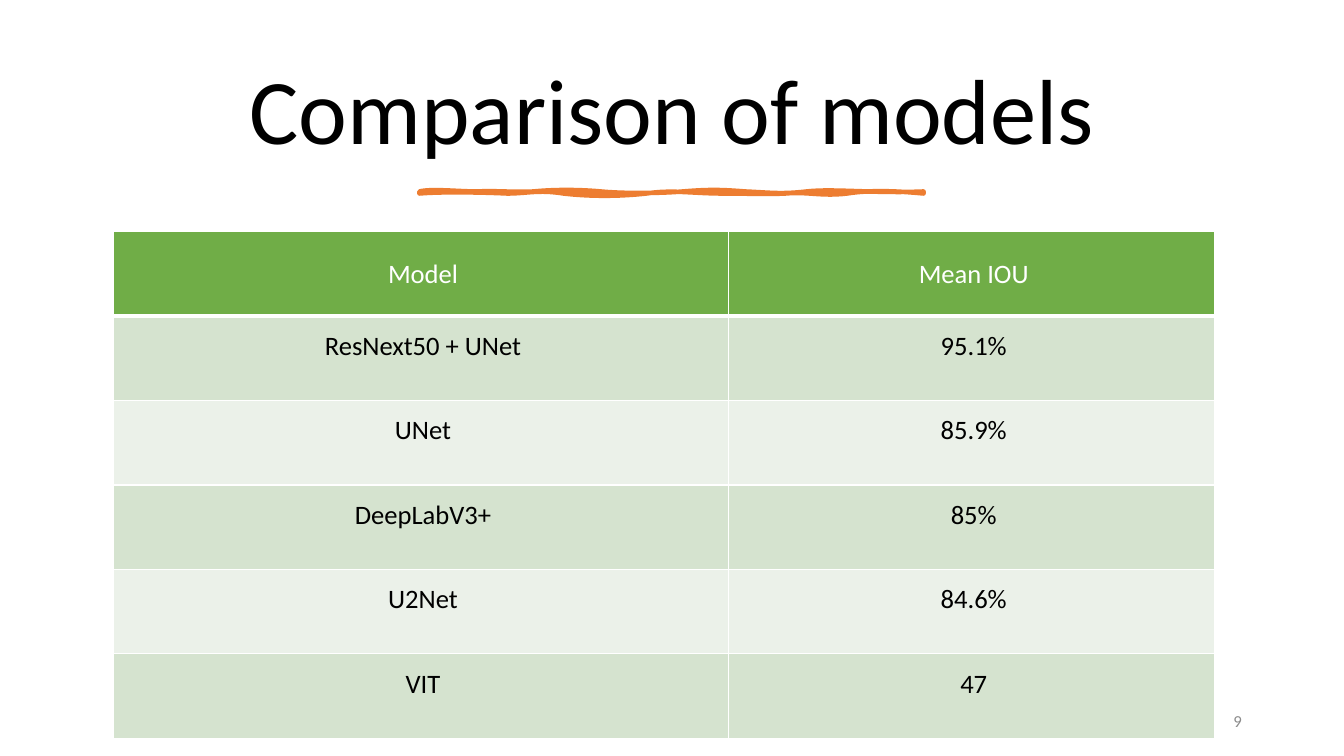
from dataclasses import dataclass

from lxml.etree import SubElement
from pptx import Presentation
from pptx.dml.color import RGBColor
from pptx.enum.text import MSO_ANCHOR as Anchor, MSO_AUTO_SIZE as AutoSize, PP_ALIGN as Align
from pptx.oxml import parse_xml
from pptx.oxml.ns import nsdecls, qn
from pptx.util import Inches, Pt

SLIDE_WIDTH, SLIDE_HEIGHT = Inches(13.33), Inches(7.5)
FONT = "Calibri"
COLORS = {
    "text": "000000", "white": "FFFFFF", "number": "8C8C8C", "stroke": "ED7D31",
    "header": "70AD47", "odd": "D5E3CF", "even": "EBF1E9",
}


def across(share: float) -> int:
    """Percent of the slide's width as a length."""
    return round(SLIDE_WIDTH * share / 100)


def down(share: float) -> int:
    """Percent of the slide's height as a length."""
    return round(SLIDE_HEIGHT * share / 100)


@dataclass(frozen=True)
class Box:
    """A place on the slide, in percent of its width and height."""
    left: float
    top: float
    width: float
    height: float

    def lengths(self) -> tuple[int, int, int, int]:
        return across(self.left), down(self.top), across(self.width), down(self.height)


@dataclass(frozen=True)
class TextStyle:
    size: float
    color: str
    align: Align = Align.CENTER
    anchor: Anchor = Anchor.MIDDLE
    line_spacing: float = 1.0


@dataclass(frozen=True)
class Score:
    model: str
    mean_iou: str


TITLE_BOX = Box(5.25, 6.08, 89.5, 18.27)
TABLE_BOX = Box(8.44, 30.67, 81.96, 66.98)
NUMBER_BOX = Box(70.64, 92.67, 22.5, 5.33)
COLUMN_WIDTHS = (45.76, 36.2)

TITLE_STYLE = TextStyle(66, "text", line_spacing=0.9)
HEADER_STYLE = TextStyle(19, "white")
BODY_STYLE = TextStyle(19, "text", anchor=Anchor.TOP)
NUMBER_STYLE = TextStyle(12, "number", Align.RIGHT)

HEADER = Score("Model", "Mean IOU")
SCORES = [
    Score("ResNext50 + UNet", "95.1%"),
    Score("UNet", "85.9%"),
    Score("DeepLabV3+", "85%"),
    Score("U2Net", "84.6%"),
    Score("VIT", "47"),
]
CELL_FORMAT = {
    "margin_left": Inches(0.18), "margin_top": Inches(0.14),
    "margin_right": Inches(0.14), "margin_bottom": Inches(0.14),
}

# Brush stroke: Bezier points in hundredths of an inch from its left end
STROKE_LEFT, STROKE_TOP = 31.21, 25.33
STROKE_POINTS = [
    (0, 0), (12, -3), (38, 0), (57, 0), (76, -1), (93, 1), (113, 0),
    (133, -2), (158, -2), (180, 0), (201, 2), (237, 2), (261, 0),
    (286, -2), (298, -2), (323, 0), (347, 1), (358, 3), (384, 0),
    (410, -3), (451, 2), (500, 0), (501, 1), (500, 1), (500, 2),
    (479, 0), (449, -2), (424, 2), (399, 5), (385, 0), (363, 2),
    (340, 3), (331, 2), (301, 2), (271, 2), (251, -2), (225, 2),
    (198, 5), (169, 5), (143, 2), (118, -2), (107, 2), (87, 2),
    (67, 1), (22, 0), (0, 2),
]


def rgb(name: str) -> RGBColor:
    return RGBColor.from_string(COLORS[name])


def write(frame, text: str, style: TextStyle) -> None:
    para = frame.paragraphs[0]
    para.alignment, para.line_spacing = style.align, style.line_spacing
    span = para.add_run()
    span.text = text
    for name, value in {"name": FONT, "size": Pt(style.size), "bold": False}.items():
        setattr(span.font, name, value)
    span.font.color.rgb = rgb(style.color)


def prepare(frame, style: TextStyle) -> None:
    frame_format = {"word_wrap": True, "auto_size": AutoSize.NONE,
                    "vertical_anchor": style.anchor}
    for name, value in frame_format.items():
        setattr(frame, name, value)


def add_title(page) -> None:
    title = page.shapes.title
    for name, value in zip(("left", "top", "width", "height"), TITLE_BOX.lengths()):
        setattr(title, name, value)
    prepare(title.text_frame, TITLE_STYLE)
    write(title.text_frame, "Comparison of models", TITLE_STYLE)


def bend_segments(shape, points: list[tuple[int, int]]) -> None:
    """Turn each straight segment of the shape into a cubic Bezier curve."""
    segments = list(shape._element.iter(qn("a:lnTo")))
    for index, segment in enumerate(segments):
        curve = parse_xml(f'<a:cubicBezTo {nsdecls("a")}/>')
        for x, y in points[3 * index + 1:3 * index + 4]:
            SubElement(curve, qn("a:pt"), x=str(x), y=str(y))
        segment.getparent().replace(segment, curve)


def add_stroke(page) -> None:
    points = [(Inches(x / 100), Inches(y / 100)) for x, y in STROKE_POINTS]
    builder = page.shapes.build_freeform(0, 0)
    builder.add_line_segments(points[3::3], close=True)
    stroke = builder.convert_to_shape(across(STROKE_LEFT), down(STROKE_TOP))
    bend_segments(stroke, points)
    stroke.shadow.inherit = False
    stroke.fill.solid()
    stroke.fill.fore_color.rgb = rgb("stroke")
    stroke.line.color.rgb = rgb("stroke")
    stroke.line.width = Pt(3.25)
    SubElement(stroke._element.spPr.find(qn("a:ln")), qn("a:round"))


def set_borders(cell, widths: dict[str, float]) -> None:
    properties = cell._tc.get_or_add_tcPr()
    for position, (side, width) in enumerate(widths.items()):
        properties.insert(position, parse_xml(
            f'<a:ln{side} {nsdecls("a")} w="{Pt(width)}"><a:solidFill>'
            f'<a:srgbClr val="{COLORS["white"]}"/></a:solidFill></a:ln{side}>'))


def add_score_table(page) -> None:
    rows = [HEADER, *SCORES]
    table = page.shapes.add_table(len(rows), len(COLUMN_WIDTHS), *TABLE_BOX.lengths()).table
    for column, width in zip(table.columns, COLUMN_WIDTHS):
        column.width = across(width)
    for index, score in enumerate(rows):
        table.rows[index].height = down(TABLE_BOX.height / len(rows))
        style = BODY_STYLE if index else HEADER_STYLE
        fill = ("odd" if index % 2 else "even") if index else "header"
        borders = {"L": 1, "R": 1, "T": 3 if index == 1 else 1, "B": 1 if index else 3}
        for cell, text in zip(table.rows[index].cells, (score.model, score.mean_iou)):
            for name, value in {**CELL_FORMAT, "vertical_anchor": style.anchor}.items():
                setattr(cell, name, value)
            cell.fill.solid()
            cell.fill.fore_color.rgb = rgb(fill)
            set_borders(cell, borders)
            write(cell.text_frame, text, style)


def add_page_number(page) -> None:
    frame = page.shapes.add_textbox(*NUMBER_BOX.lengths()).text_frame
    prepare(frame, NUMBER_STYLE)
    write(frame, "9", NUMBER_STYLE)


def main() -> None:
    deck = Presentation()
    deck.slide_width, deck.slide_height = SLIDE_WIDTH, SLIDE_HEIGHT
    page = deck.slides.add_slide(deck.slide_layouts[5])
    add_title(page)
    add_stroke(page)
    add_score_table(page)
    add_page_number(page)
    deck.save("out.pptx")


if __name__ == "__main__":
    main()
